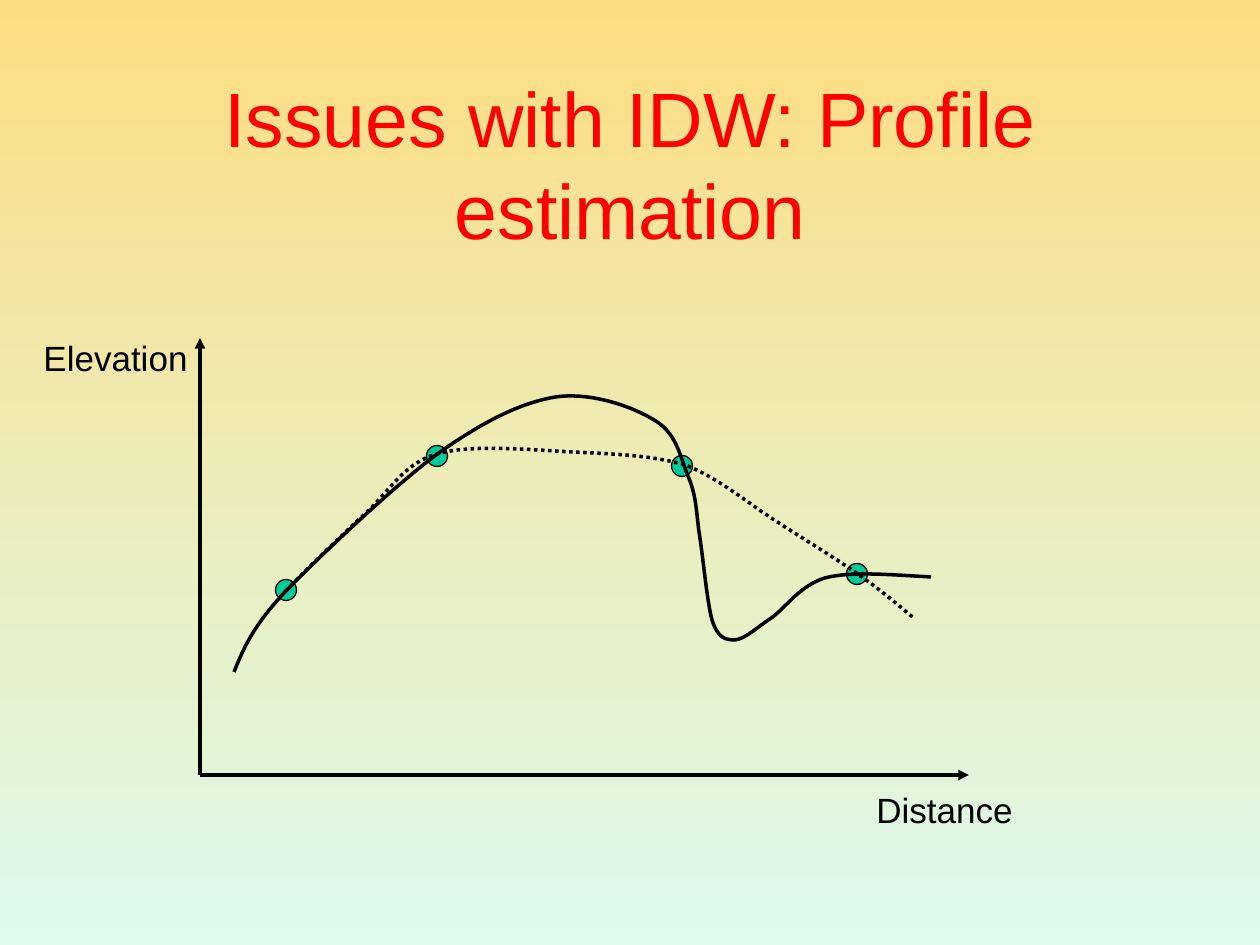
from dataclasses import dataclass

from lxml import etree
from pptx import Presentation
from pptx.dml.color import RGBColor
from pptx.enum.dml import MSO_LINE
from pptx.enum.shapes import MSO_CONNECTOR, MSO_SHAPE
from pptx.enum.text import MSO_ANCHOR, MSO_AUTO_SIZE, PP_ALIGN
from pptx.oxml.ns import qn
from pptx.util import Emu, Pt

STRAIGHT = MSO_CONNECTOR.STRAIGHT
OVAL = MSO_SHAPE.OVAL
SOLID, DOTTED = MSO_LINE.SOLID, MSO_LINE.ROUND_DOT
MIDDLE, CENTER = MSO_ANCHOR.MIDDLE, PP_ALIGN.CENTER
FIXED_SIZE, GROW = MSO_AUTO_SIZE.NONE, MSO_AUTO_SIZE.SHAPE_TO_FIT_TEXT
EMU_PER_PX = 914400 / 126
FONT = "Arial"
COLORS = {
    "sky": "FDDD81",
    "ground": "DDFAED",
    "title": "FF0000",
    "ink": "000000",
    "sample": "00CC99",
}
Point = tuple[int, int]


@dataclass
class Label:
    text: str
    left: int
    top: int
    width: int
    height: int


@dataclass
class Profile:
    """A start point followed by three Bezier points per segment."""
    points: list[Point]
    dash: MSO_LINE


ORIGIN = (200, 775)
AXIS_TIPS = [(200, 338), (969, 775)]
SAMPLE_SIZE = 21
SAMPLES = [(286, 590), (437, 456), (682, 466), (857, 574)]
LABELS = [
    Label("Distance", 864, 782, 165, 55),
    Label("Elevation", 31, 330, 173, 55),
]
TRUE_PROFILE = Profile([
    (234, 672),
    (243, 650), (252, 627), (286, 591),
    (320, 556), (392, 488), (436, 455),
    (481, 423), (519, 403), (556, 397),
    (592, 392), (633, 407), (654, 420),
    (677, 433), (680, 457), (688, 476),
    (696, 495), (696, 508), (699, 532),
    (703, 556), (707, 602), (712, 620),
    (718, 639), (726, 640), (735, 640),
    (745, 639), (755, 629), (770, 619),
    (785, 609), (799, 586), (825, 578),
    (852, 571), (891, 575), (931, 577),
], SOLID)
IDW_PROFILE = Profile([
    (286, 591),
    (312, 564), (340, 537), (365, 514),
    (391, 490), (403, 464), (437, 454),
    (473, 444), (530, 450), (572, 452),
    (612, 454), (650, 455), (685, 465),
    (719, 478), (750, 505), (779, 523),
    (808, 542), (837, 559), (859, 575),
    (882, 591), (898, 605), (915, 619),
], DOTTED)


def px(length: float) -> Emu:
    return Emu(round(length * EMU_PER_PX))


def color(name: str) -> RGBColor:
    return RGBColor.from_string(COLORS[name])


def style_line(line, width: float) -> None:
    line.color.rgb = color("ink")
    line.width = Pt(width)


def style_text(paragraph, size: int, color_name: str) -> None:
    for run in paragraph.runs:
        run.font.name = FONT
        run.font.size = Pt(size)
        run.font.color.rgb = color(color_name)


def paint_background(slide) -> None:
    fill = slide.background.fill
    fill.gradient()
    fill.gradient_angle = 270
    for stop, name, position in zip(fill.gradient_stops, ("sky", "ground"), (0, 1)):
        stop.color.rgb = color(name)
        stop.position = position


def set_title(slide, text: str) -> None:
    title = slide.shapes.title
    title.left, title.top, title.width, title.height = map(px, (95, 84, 1071, 158))
    frame = title.text_frame
    frame.text = text
    frame.word_wrap = True
    frame.auto_size = FIXED_SIZE
    frame.vertical_anchor = MIDDLE
    frame.paragraphs[0].alignment = CENTER
    style_text(frame.paragraphs[0], 44, "title")


def draw_axis(slide, tip: Point) -> None:
    axis = slide.shapes.add_connector(STRAIGHT, *map(px, ORIGIN + tip))
    style_line(axis.line, 2)
    properties = axis.element.spPr
    etree.SubElement(properties.find(qn("a:ln")), qn("a:tailEnd"), type="triangle")
    etree.SubElement(properties, qn("a:effectLst"))


def draw_sample(group, center: Point) -> None:
    corner = [px(value - SAMPLE_SIZE / 2) for value in center]
    sample = group.shapes.add_shape(OVAL, *corner, px(SAMPLE_SIZE), px(SAMPLE_SIZE))
    sample.shadow.inherit = False
    sample.fill.solid()
    sample.fill.fore_color.rgb = color("sample")
    style_line(sample.line, 0.75)


def draw_profile(slide, profile: Profile) -> None:
    start, *rest = profile.points
    builder = slide.shapes.build_freeform(*start, scale=EMU_PER_PX)
    builder.add_line_segments(rest, close=False)
    curve = builder.convert_to_shape()
    curve.shadow.inherit = False
    curve.fill.background()
    style_line(curve.line, 2)
    curve.line.dash_style = profile.dash

    # Join each three straight segments into one Bezier segment
    path = next(curve.element.iter(qn("a:path")))
    segments = path.findall(qn("a:lnTo"))
    for first in range(0, len(segments), 3):
        bezier = etree.SubElement(path, qn("a:cubicBezTo"))
        for segment in segments[first:first + 3]:
            bezier.append(segment[0])
            path.remove(segment)


def draw_label(slide, label: Label) -> None:
    box = slide.shapes.add_textbox(
        *map(px, (label.left, label.top, label.width, label.height)))
    frame = box.text_frame
    frame.text = label.text
    frame.word_wrap = False
    frame.auto_size = GROW
    frame.paragraphs[0].space_before = Pt(7.5)
    style_text(frame.paragraphs[0], 20, "ink")


def main() -> None:
    deck = Presentation()
    deck.slide_width, deck.slide_height = px(1260), px(945)
    slide = deck.slides.add_slide(deck.slide_layouts[5])
    paint_background(slide)
    set_title(slide, "Issues with IDW: Profile estimation")

    # Axes
    for tip in AXIS_TIPS:
        draw_axis(slide, tip)

    # Sample points
    samples = slide.shapes.add_group_shape()
    for center in SAMPLES:
        draw_sample(samples, center)

    # True and estimated profiles
    for profile in (TRUE_PROFILE, IDW_PROFILE):
        draw_profile(slide, profile)

    # Axis labels
    for label in LABELS:
        draw_label(slide, label)

    deck.save("out.pptx")


if __name__ == "__main__":
    main()
